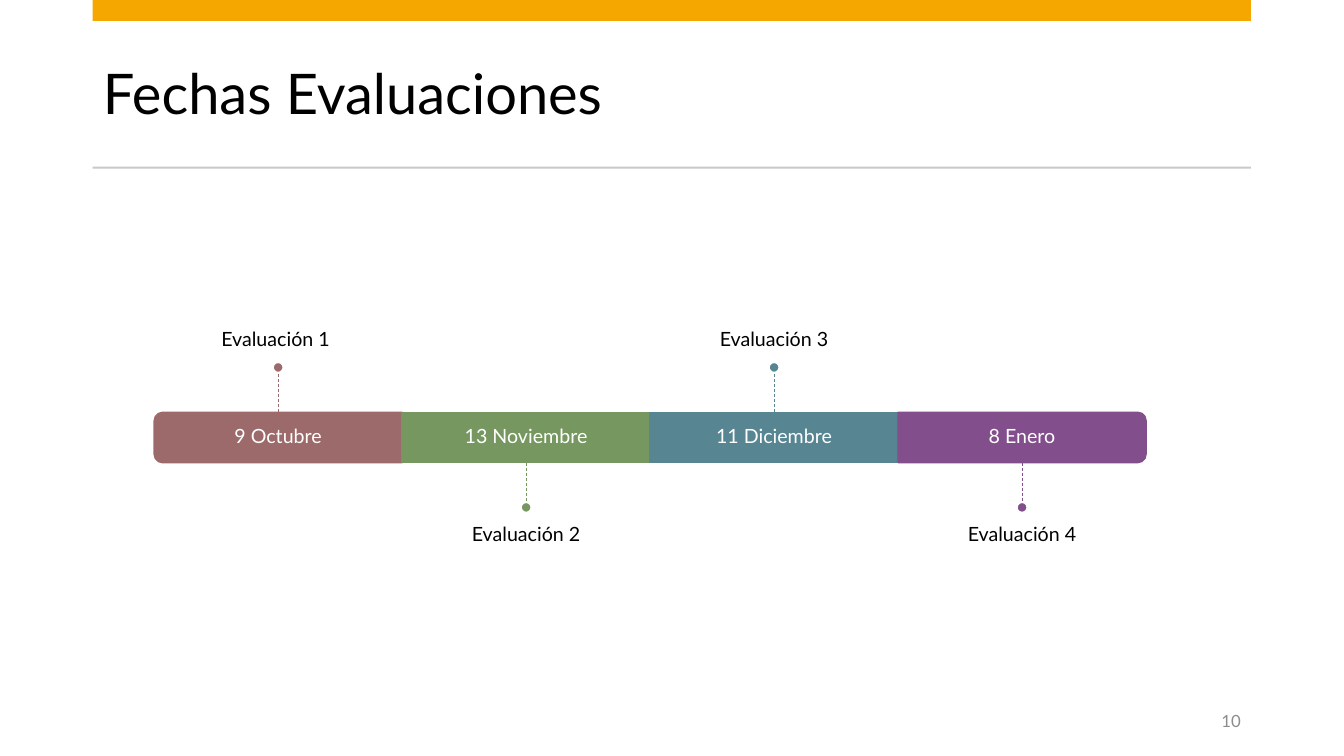
from dataclasses import dataclass

import pptx
import pptx.dml.color
import pptx.enum.dml
import pptx.enum.shapes
import pptx.enum.text
import pptx.util
from lxml import etree
from pptx.oxml.ns import qn

Pt = pptx.util.Pt
Shape = pptx.enum.shapes.MSO_SHAPE
Align = pptx.enum.text.PP_ALIGN
Anchor = pptx.enum.text.MSO_ANCHOR


@dataclass(frozen=True)
class Theme:
    font: str = "Lato"
    title_size: float = 40
    body_size: float = 14
    number_size: float = 12
    black: str = "000000"
    white: str = "FFFFFF"
    accent: str = "F5A700"
    rule: str = "C9C9C9"
    muted: str = "8C8C8C"


@dataclass(frozen=True)
class Evaluation:
    label: str
    date: str
    color: str
    above: bool
    cap_rotation: int | None = None  # set on the rounded ends of the bar


THEME = Theme()
EVALUATIONS = [
    Evaluation("Evaluación 1 ", "9 Octubre", "9C6A6A", True, 270),
    Evaluation("Evaluación 2", "13 Noviembre", "769860", False),
    Evaluation("Evaluación 3", "11 Diciembre", "578592", True),
    Evaluation("Evaluación 4", "8 Enero", "824F8C", False, 90),
]

# Page and timeline geometry, in points
MARGIN, CONTENT_WIDTH = 66.24, 827.28
BAR_LEFT, BAR_TOP, BAR_HEIGHT = 110.16, 294.48, 36
SEGMENT_WIDTH = 177.12
STEM, DOT = 28.4, 7.2
LABEL_WIDTH, LABEL_HEIGHT = 295.2, 125.28
INSET = 8.64


def rgb(color: str) -> pptx.dml.color.RGBColor:
    return pptx.dml.color.RGBColor.from_string(color)


def add_filled(slide, kind, left: float, top: float, width: float, height: float,
               fill: str, outline: str | None = None):
    shape = slide.shapes.add_shape(kind, Pt(left), Pt(top), Pt(width), Pt(height))
    shape.shadow.inherit = False
    shape.fill.solid()
    shape.fill.fore_color.rgb = rgb(fill)
    if outline:
        shape.line.color.rgb = rgb(outline)
        shape.line.width = Pt(1)
    else:
        shape.line.fill.background()
    return shape


def add_box(slide, left: float, top: float, width: float, height: float):
    return slide.shapes.add_textbox(Pt(left), Pt(top), Pt(width), Pt(height))


def write(shape, text: str, size: float, color: str, align=Align.CENTER,
          anchor=Anchor.MIDDLE, insets: tuple = (7.2, 3.6, 7.2, 3.6),
          spacing: float = 0.9, after: float = 0) -> None:
    frame = shape.text_frame
    frame.word_wrap = True
    frame.auto_size = pptx.enum.text.MSO_AUTO_SIZE.NONE
    frame.vertical_anchor = anchor
    (frame.margin_left, frame.margin_top,
     frame.margin_right, frame.margin_bottom) = map(Pt, insets)
    frame.text = text
    paragraph = frame.paragraphs[0]
    paragraph.alignment = align
    paragraph.line_spacing = spacing
    paragraph.space_after = Pt(after)
    paragraph.font.name = THEME.font
    paragraph.font.size = Pt(size)
    paragraph.font.color.rgb = rgb(color)


def add_segment(slide, evaluation: Evaluation, left: float):
    """Draw one part of the bar with its date."""
    if evaluation.cap_rotation is None:
        segment = add_filled(slide, Shape.RECTANGLE, left, BAR_TOP, SEGMENT_WIDTH,
                             BAR_HEIGHT, evaluation.color, evaluation.color)
        date = segment
    else:
        # The upright shape is turned about its centre to lie along the bar
        shift = (SEGMENT_WIDTH - BAR_HEIGHT) / 2
        segment = add_filled(slide, Shape.ROUND_2_SAME_RECTANGLE, left + shift,
                             BAR_TOP - shift, BAR_HEIGHT, SEGMENT_WIDTH,
                             evaluation.color, evaluation.color)
        segment.rotation = evaluation.cap_rotation
        date = add_box(slide, left, BAR_TOP, SEGMENT_WIDTH, BAR_HEIGHT)
    write(date, evaluation.date, THEME.body_size, THEME.white, insets=(INSET,) * 4, after=4.9)
    return segment


def add_evaluation(slide, evaluation: Evaluation, index: int) -> None:
    left = BAR_LEFT + index * SEGMENT_WIDTH
    center = left + SEGMENT_WIDTH / 2
    segment = add_segment(slide, evaluation, left)

    # Above or below the bar
    if evaluation.above:
        edge, tip, side = BAR_TOP, BAR_TOP - STEM, 0
        dot_top, label_top = tip - DOT, tip - DOT - LABEL_HEIGHT
        anchor, insets = Anchor.BOTTOM, (0, 0, 0, INSET)
    else:
        edge, tip, side = BAR_TOP + BAR_HEIGHT, BAR_TOP + BAR_HEIGHT + STEM, 2
        dot_top, label_top = tip, tip + DOT
        anchor, insets = Anchor.TOP, (0, INSET, 0, 0)

    # Label
    label = add_box(slide, center - LABEL_WIDTH / 2, label_top, LABEL_WIDTH, LABEL_HEIGHT)
    write(label, evaluation.label, THEME.body_size, THEME.black,
          anchor=anchor, insets=insets, after=4.9)

    # Dashed stem and dot
    stem = slide.shapes.add_connector(pptx.enum.shapes.MSO_CONNECTOR.STRAIGHT,
                                      Pt(center), Pt(edge), Pt(center), Pt(tip))
    stem.line.color.rgb = rgb(evaluation.color)
    stem.line.width = Pt(0.5)
    stem.line.dash_style = pptx.enum.dml.MSO_LINE.DASH
    etree.SubElement(stem._element.spPr, qn("a:effectLst"))
    if evaluation.cap_rotation is None:
        stem.begin_connect(segment, side)
    add_filled(slide, Shape.OVAL, center - DOT / 2, dot_top, DOT, DOT,
               evaluation.color, THEME.white)


def main() -> None:
    deck = pptx.Presentation()
    deck.slide_width, deck.slide_height = Pt(960), Pt(540)
    slide = deck.slides.add_slide(deck.slide_layouts[5])

    # Title between the accent band and the rule
    title = slide.shapes.title
    title.left, title.top = Pt(MARGIN), Pt(26.64)
    title.width, title.height = Pt(CONTENT_WIDTH), Pt(84.96)
    write(title, "Fechas Evaluaciones", THEME.title_size, THEME.black, align=Align.LEFT)
    add_filled(slide, Shape.RECTANGLE, MARGIN, 0, CONTENT_WIDTH, 15, THEME.accent)
    add_filled(slide, Shape.RECTANGLE, MARGIN, 119, CONTENT_WIDTH, 1.44, THEME.rule)

    # Slide number
    number = add_box(slide, 686.16, 500.4, 207.36, 28.8)
    write(number, "10", THEME.number_size, THEME.muted, align=Align.RIGHT,
          spacing=1.0, after=6)

    # Timeline
    for index, evaluation in enumerate(EVALUATIONS):
        add_evaluation(slide, evaluation, index)

    deck.save("out.pptx")


if __name__ == "__main__":
    main()
